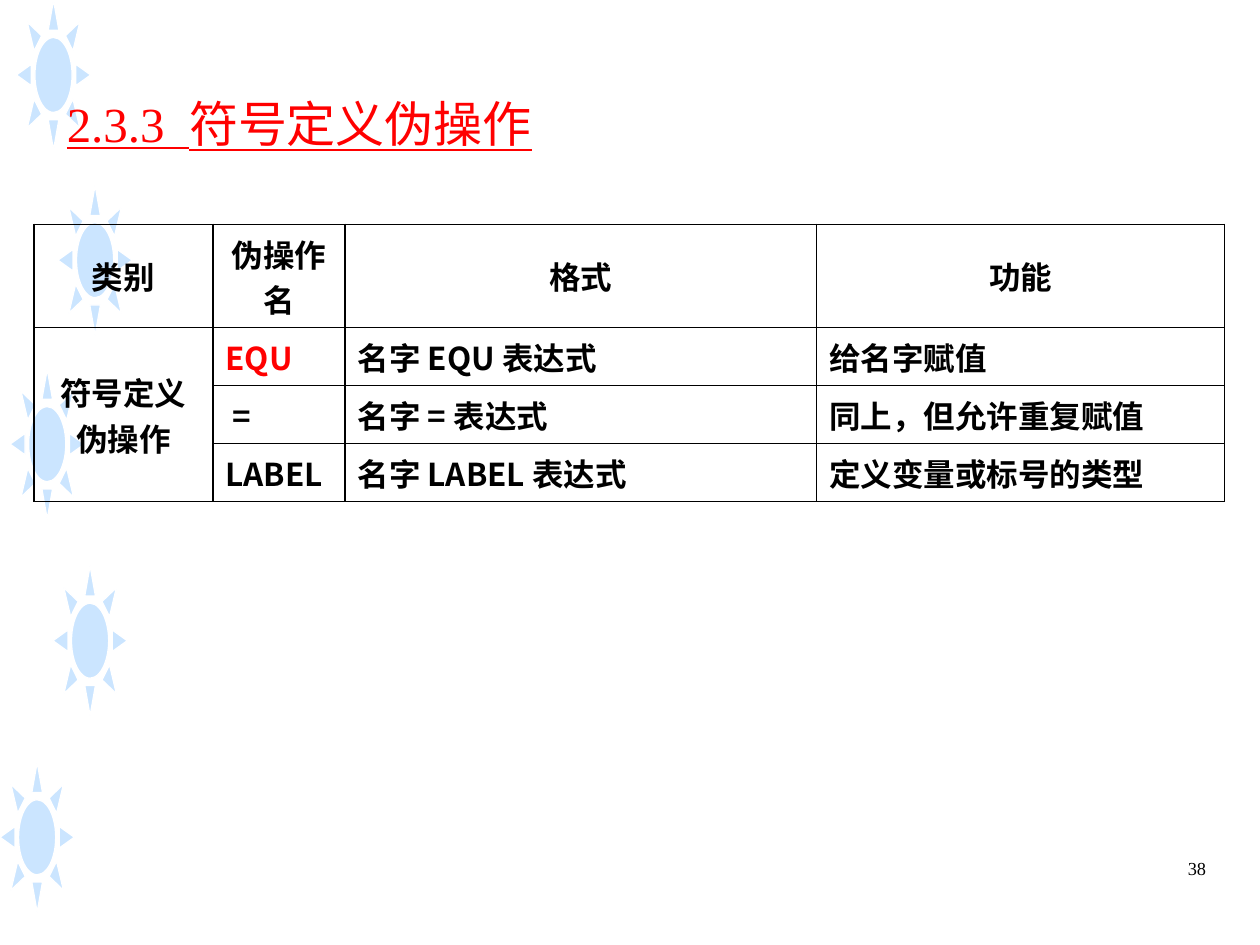
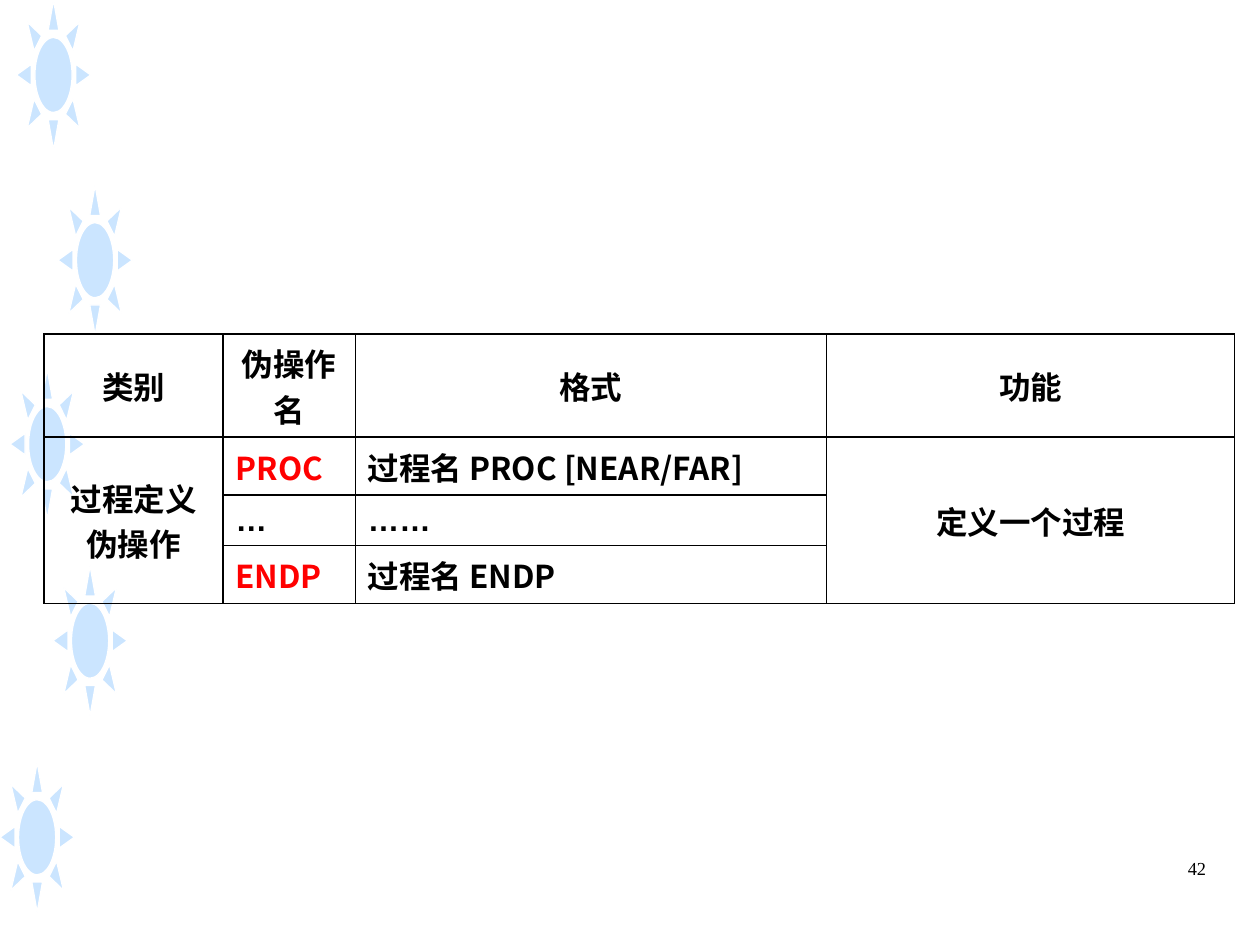
import pptx
import pptx.util
import pptx.dml.color
import pptx.enum.shapes
import pptx.enum.text
import pptx.oxml
import pptx.oxml.ns
from lxml import etree

Inches = pptx.util.Inches
Pt = pptx.util.Pt
RGBColor = pptx.dml.color.RGBColor
ALIGN = pptx.enum.text.PP_ALIGN
ANCHOR = pptx.enum.text.MSO_ANCHOR
qn = pptx.oxml.ns.qn

BLACK = RGBColor(0x00, 0x00, 0x00)
RED = RGBColor(0xFF, 0x00, 0x00)
WHITE = RGBColor(0xFF, 0xFF, 0xFF)
SKY = RGBColor(0x99, 0xCC, 0xFF)
CJK = "Noto Sans CJK SC"
SERIF = "Times New Roman"
SANS = "Arial"

SUN_SIZE = (0.59, 1.19)
SUN_CORNERS = [(0.13, 0), (0.46, 1.47), (0.08, 2.93), (0.42, 4.49), (0, 6.05)]
COLUMN_WIDTHS = [1.42, 1.05, 3.74, 3.24]
HEADING_HEIGHT = 0.82
ROW_HEIGHT = 0.46
ELLIPSIS_HEIGHT = 0.4
HEADINGS = ["类别", "伪操作名", "格式", "功能"]


def style(paragraph, size, font, color=BLACK, bold=False):
    """Set the paragraph's font, with the East Asian face beside the Latin one."""
    paragraph.font.size = Pt(size)
    paragraph.font.bold = bold
    paragraph.font.color.rgb = color
    paragraph.font.name = font
    properties = paragraph._p.find(".//" + qn("a:defRPr"))
    etree.SubElement(properties, qn("a:ea")).set("typeface", CJK)


def add_suns(slide):
    """Draw the column of half-transparent suns down the left edge."""
    for left, top in SUN_CORNERS:
        sun = slide.shapes.add_shape(
            pptx.enum.shapes.MSO_SHAPE.SUN,
            Inches(left), Inches(top), *map(Inches, SUN_SIZE))
        sun.shadow.inherit = False
        sun.fill.solid()
        sun.fill.fore_color.rgb = SKY
        tint = sun.element.spPr.find(qn("a:solidFill"))[0]
        etree.SubElement(tint, qn("a:alpha")).set("val", "50000")
        sun.line.color.rgb = WHITE
        sun.line.width = Pt(0.75)


def add_page_number(slide, number):
    """Write the page number at the lower right."""
    footer = slide.shapes.add_textbox(
        Inches(7.17), Inches(6.75), Inches(2.5), Inches(0.52))
    footer.text_frame.word_wrap = True
    paragraph = footer.text_frame.paragraphs[0]
    paragraph.text = str(number)
    paragraph.alignment = ALIGN.RIGHT
    style(paragraph, 10.5, SERIF)


def add_title(slide, wording):
    """Place the red underlined section title in front of the suns."""
    title = slide.shapes.title
    title.left, title.top = Inches(0.43), Inches(0.6)
    title.width, title.height = Inches(4.61), Inches(0.61)
    frame = title.text_frame
    frame.word_wrap = True
    frame.auto_size = pptx.enum.text.MSO_AUTO_SIZE.SHAPE_TO_FIT_TEXT
    frame.vertical_anchor = ANCHOR.TOP
    paragraph = frame.paragraphs[0]
    paragraph.text = wording
    paragraph.alignment = ALIGN.LEFT
    paragraph.line_spacing = 1.2
    style(paragraph, 28, SERIF, RED)
    paragraph.font.underline = True
    slide.shapes.element.append(title.element)


def add_borders(cell):
    """Rule all four sides of a cell in black."""
    properties = cell._tc.get_or_add_tcPr()
    for place, side in enumerate(("lnL", "lnR", "lnT", "lnB")):
        border = pptx.oxml.parse_xml(
            f'<a:{side} {pptx.oxml.ns.nsdecls("a")} w="{Pt(1)}"><a:solidFill>'
            f'<a:srgbClr val="{BLACK}"/></a:solidFill></a:{side}>')
        properties.insert(place, border)


def add_directive_table(slide, left, top, rows, merges, red_names):
    """Build the table of directives; merged and heading cells are centred."""
    heights = [HEADING_HEIGHT] + [
        ELLIPSIS_HEIGHT if "…" in wordings else ROW_HEIGHT for wordings in rows]
    table = slide.shapes.add_table(
        len(heights), len(COLUMN_WIDTHS), Inches(left), Inches(top),
        Inches(sum(COLUMN_WIDTHS)), Inches(sum(heights))).table
    table.first_row = table.horz_banding = False
    for column, width in zip(table.columns, COLUMN_WIDTHS):
        column.width = Inches(width)
    for row, height in zip(table.rows, heights):
        row.height = Inches(height)
    for r, wordings in enumerate([HEADINGS] + rows):
        for c, wording in enumerate(wordings):
            cell = table.cell(r, c)
            cell.fill.background()
            add_borders(cell)
            cell.vertical_anchor = ANCHOR.MIDDLE
            paragraph = cell.text_frame.paragraphs[0]
            paragraph.text = wording
            centred = r == 0 or c in merges
            paragraph.alignment = ALIGN.CENTER if centred else ALIGN.LEFT
            style(paragraph, 18, SANS if "…" in wording else CJK,
                  RED if wording in red_names else BLACK, bold=True)
    for c in merges:
        table.cell(1, c).merge(table.cell(len(rows), c))


def add_symbol_slide(deck):
    """Build the slide on symbol definition directives."""
    slide = deck.slides.add_slide(deck.slide_layouts.get_by_name("Title Only"))
    add_suns(slide)
    add_page_number(slide, 38)
    add_directive_table(slide, 0.27, 1.78, [
        ["符号定义伪操作", "EQU", "名字 EQU 表达式", "给名字赋值"],
        ["", " =", "名字 = 表达式", "同上，但允许重复赋值"],
        ["", "LABEL", "名字 LABEL 表达式", "定义变量或标号的类型"],
    ], merges=[0], red_names=["EQU"])
    add_title(slide, "2.3.3  符号定义伪操作")


def add_procedure_slide(deck):
    """Build the slide on procedure definition directives."""
    slide = deck.slides.add_slide(deck.slide_layouts.get_by_name("Blank"))
    add_suns(slide)
    add_page_number(slide, 42)
    add_directive_table(slide, 0.35, 2.65, [
        ["过程定义伪操作", "PROC", "过程名 PROC [NEAR/FAR]", "定义一个过程"],
        ["", "…", "……", ""],
        ["", "ENDP", "过程名 ENDP", ""],
    ], merges=[0, 3], red_names=["PROC", "ENDP"])


def main():
    """Build and save the deck."""
    deck = pptx.Presentation()
    deck.slide_width, deck.slide_height = Inches(10), Inches(7.5)
    add_symbol_slide(deck)
    add_procedure_slide(deck)
    deck.save("out.pptx")


if __name__ == "__main__":
    main()
